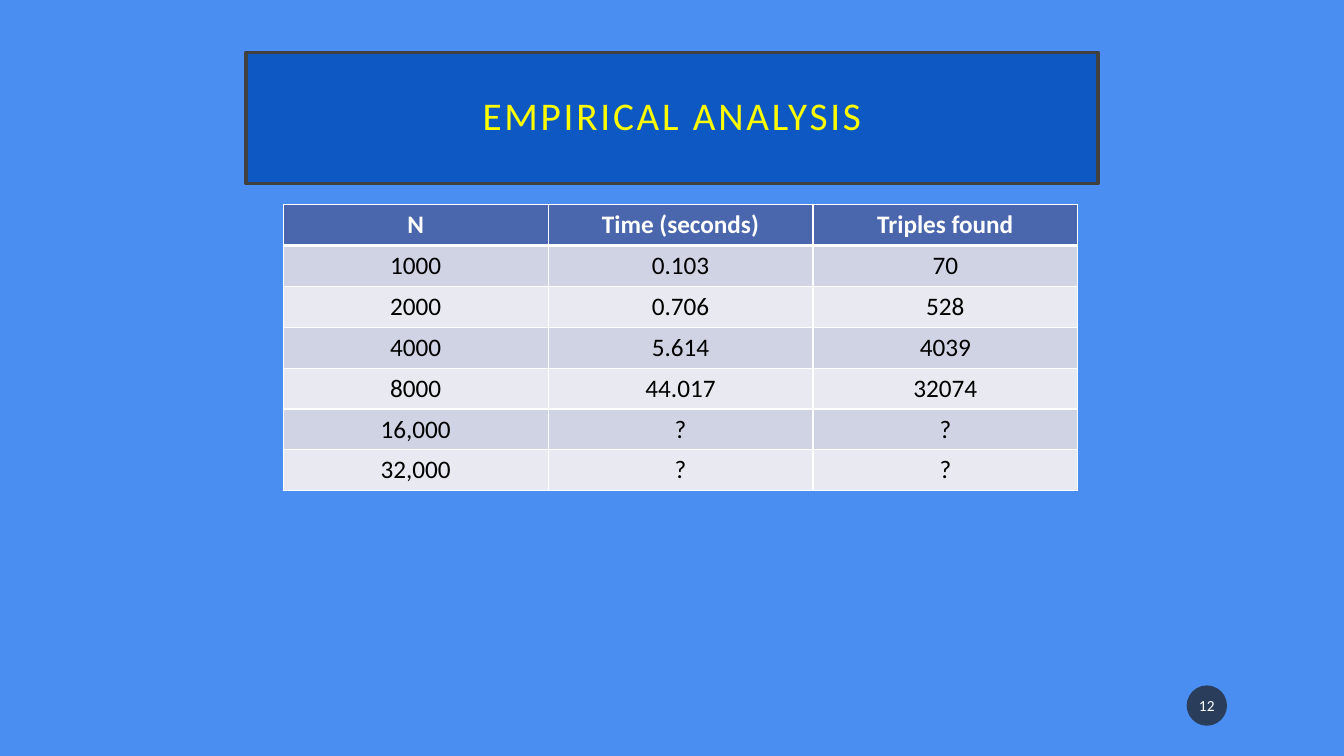
"""Build the Empirical Analysis slide with its table of running times."""
import pptx
import pptx.dml.color
import pptx.enum.shapes
import pptx.enum.text
import pptx.oxml
import pptx.oxml.ns
import pptx.util
from pptx.util import Inches

RGBColor = pptx.dml.color.RGBColor
SHAPES = pptx.enum.shapes.MSO_SHAPE

TITLE = "EMPIRICAL ANALYSIS"
PAGE_NUMBER = "12"
TIMINGS = [
    ("N", "Time (seconds)", "Triples found"),
    ("1000", "0.103", "70"),
    ("2000", "0.706", "528"),
    ("4000", "5.614", "4039"),
    ("8000", "44.017", "32074"),
    ("16,000", "?", "?"),
    ("32,000", "?", "?"),
]

FONT = "Calibri"
SKY = RGBColor(0x4A, 0x8E, 0xF2)
BANNER = RGBColor(0x0E, 0x58, 0xC4)
FRAME = RGBColor(0x40, 0x40, 0x40)
YELLOW = RGBColor(0xFF, 0xFF, 0x00)
WHITE = RGBColor(0xFF, 0xFF, 0xFF)
BLACK = RGBColor(0x00, 0x00, 0x00)
HEADER = RGBColor(0x4A, 0x66, 0xAC)
BANDS = (RGBColor(0xE9, 0xEA, 0xF1), RGBColor(0xD0, 0xD3, 0xE3))
BADGE = RGBColor(0x1D, 0x1D, 0x1D)


def write(frame, text, size, color, bold=False):
    paragraph = frame.paragraphs[0]
    paragraph.alignment = pptx.enum.text.PP_ALIGN.CENTER
    run = paragraph.add_run()
    run.text = text
    run.font.name = FONT
    run.font.size = pptx.util.Pt(size)
    run.font.bold = bold
    run.font.color.rgb = color
    return paragraph, run


def add_panel(slide, kind, box, fill, inset_x, inset_y):
    panel = slide.shapes.add_shape(kind, *map(Inches, box))
    panel.shadow.inherit = False
    panel.fill.solid()
    panel.fill.fore_color.rgb = fill
    frame = panel.text_frame
    frame.word_wrap = True
    frame.vertical_anchor = pptx.enum.text.MSO_ANCHOR.MIDDLE
    frame.margin_left = frame.margin_right = Inches(inset_x)
    frame.margin_top = frame.margin_bottom = Inches(inset_y)
    return panel


def add_border(cell, side, points):
    cell._tc.get_or_add_tcPr().append(pptx.oxml.parse_xml(
        f'<a:{side} {pptx.oxml.ns.nsdecls("a")} w="{pptx.util.Pt(points)}">'
        f'<a:solidFill><a:srgbClr val="{WHITE}"/></a:solidFill></a:{side}>'))


def add_title(slide):
    banner = add_panel(slide, SHAPES.RECTANGLE, (2.44, 0.52, 8.45, 1.3), BANNER, 0.2, 0.2)
    banner.line.color.rgb = FRAME
    banner.line.width = pptx.util.Pt(2.5)
    paragraph, run = write(banner.text_frame, TITLE, 28, YELLOW)
    paragraph.line_spacing = 0.9
    run.font._element.set("spc", "200")


def add_timings(slide):
    box = map(Inches, (2.81, 2.03, 7.88, 2.83))
    table = slide.shapes.add_table(len(TIMINGS), len(TIMINGS[0]), *box).table
    for r, values in enumerate(TIMINGS):
        is_header = r == 0
        for c, value in enumerate(values):
            cell = table.cell(r, c)
            add_border(cell, "lnL", 1)
            add_border(cell, "lnR", 1)
            add_border(cell, "lnT", 3 if r == 1 else 1)
            add_border(cell, "lnB", 3 if is_header else 1)
            cell.fill.solid()
            cell.fill.fore_color.rgb = HEADER if is_header else BANDS[r % 2]
            write(cell.text_frame, value, 18, WHITE if is_header else BLACK, is_header)


def add_page_number(slide):
    badge = add_panel(slide, SHAPES.OVAL, (11.77, 6.8, 0.4, 0.4), BADGE, 0.02, 0.05)
    badge.line.fill.background()
    color = badge._element.spPr.find(".//" + pptx.oxml.ns.qn("a:srgbClr"))
    color.append(pptx.oxml.parse_xml(
        f'<a:alpha {pptx.oxml.ns.nsdecls("a")} val="70000"/>'))
    write(badge.text_frame, PAGE_NUMBER, 11, WHITE)


def main():
    deck = pptx.Presentation()
    deck.slide_width, deck.slide_height = Inches(13.33), Inches(7.5)
    slide = deck.slides.add_slide(deck.slide_layouts[6])
    slide.background.fill.solid()
    slide.background.fill.fore_color.rgb = SKY
    add_title(slide)
    add_timings(slide)
    add_page_number(slide)
    deck.save("out.pptx")


if __name__ == "__main__":
    main()
